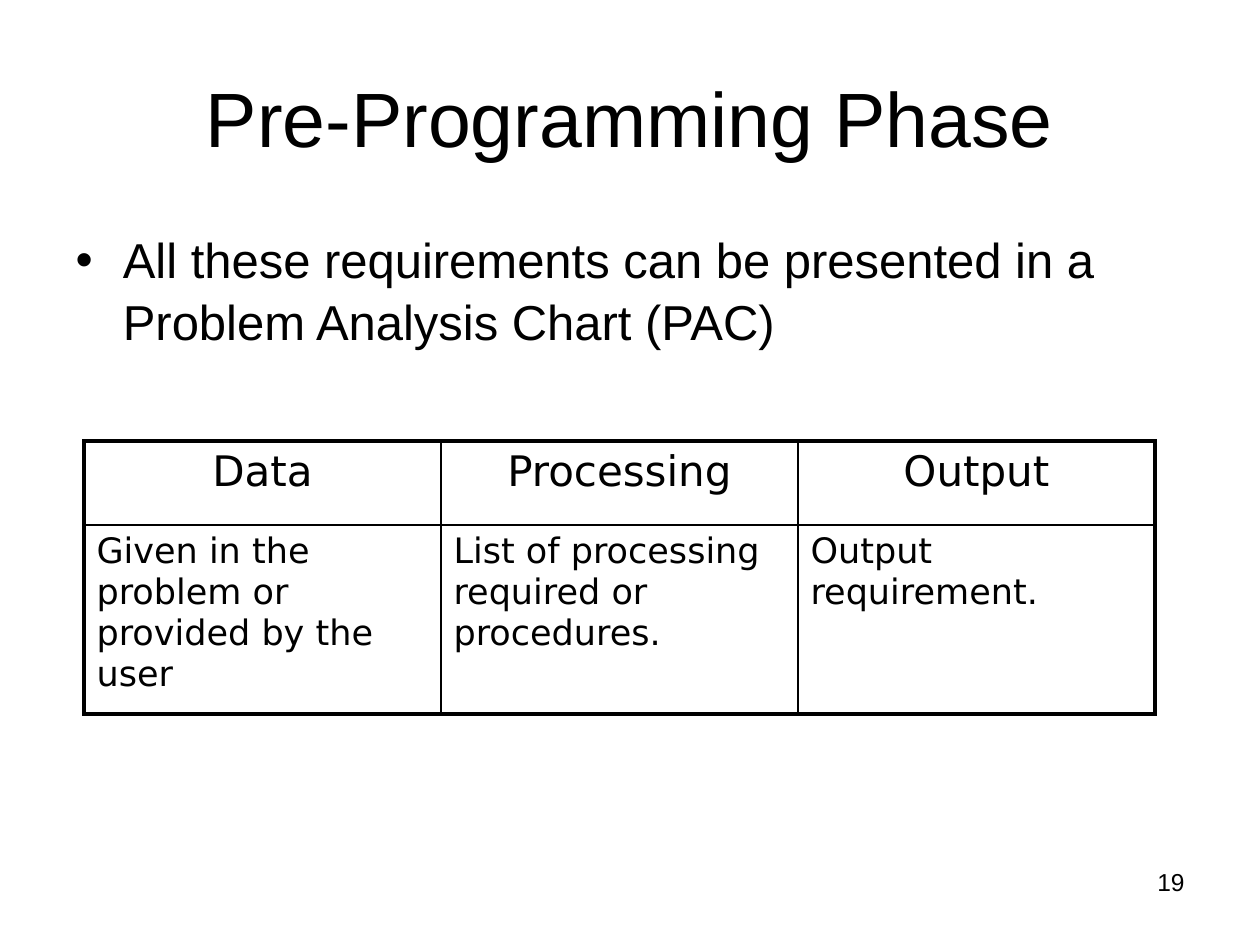
from typing import NamedTuple

from lxml import etree
from pptx import Presentation
from pptx.dml.color import RGBColor
from pptx.enum import text as t
from pptx.oxml import ns
from pptx.util import Pt

BLACK = RGBColor(0, 0, 0)
WHITE = RGBColor(255, 255, 255)
SANS = "Arial"
WIDE = "DejaVu Sans"
THICK, THIN = 2.25, 1


class Row(NamedTuple):
    height: float
    size: float
    align: t.PP_ALIGN
    cells: tuple[str, ...]


ROWS = (
    Row(48, 24, t.PP_ALIGN.CENTER, ("Data", "Processing", "Output")),
    Row(108, 20, t.PP_ALIGN.LEFT, (
        "Given in the problem or provided by the user",
        "List of processing required or procedures.",
        "Output requirement.",
    )),
)


def place(shape, left: float, top: float, width: float, height: float) -> None:
    shape.left, shape.top = Pt(left), Pt(top)
    shape.width, shape.height = Pt(width), Pt(height)


def style(frame, size: float, face: str, align: t.PP_ALIGN) -> None:
    frame.word_wrap = True
    for par in frame.paragraphs:
        par.alignment = align
        par.space_before = Pt(0)
        for run in par.runs:
            run.font.size = Pt(size)
            run.font.name = face
            run.font.color.rgb = BLACK


def add_bullet(par, indent: float) -> None:
    props = par._p.get_or_add_pPr()
    props.set("marL", str(Pt(indent)))
    props.set("indent", str(Pt(-indent)))
    etree.SubElement(props, ns.qn("a:buChar")).set("char", "•")


def add_edge(cell, side: str, width: float) -> None:
    props = cell._tc.get_or_add_tcPr()
    line = etree.SubElement(props, ns.qn(f"a:ln{side}"), w=str(Pt(width)))
    fill = etree.SubElement(line, ns.qn("a:solidFill"))
    etree.SubElement(fill, ns.qn("a:srgbClr"), val=str(BLACK))


def add_grid(slide, left: float, top: float, width: float) -> None:
    """Add the analysis chart, with a thick frame and thin inner rules."""
    count = len(ROWS[0].cells)
    height = sum(row.height for row in ROWS)
    table = slide.shapes.add_table(
        len(ROWS), count, Pt(left), Pt(top), Pt(width), Pt(height)).table
    table.first_row = table.horz_banding = False
    for col in table.columns:
        col.width = Pt(width / count)
    for r, row in enumerate(ROWS):
        table.rows[r].height = Pt(row.height)
        for c, words in enumerate(row.cells):
            cell = table.cell(r, c)
            cell.text_frame.text = words
            style(cell.text_frame, row.size, WIDE, row.align)
            outer = {"L": c == 0, "R": c == count - 1,
                     "T": r == 0, "B": r == len(ROWS) - 1}
            for side, edge in outer.items():
                add_edge(cell, side, THICK if edge else THIN)
            cell.fill.solid()
            cell.fill.fore_color.rgb = WHITE


def main() -> None:
    deck = Presentation()
    deck.slide_width, deck.slide_height = Pt(720), Pt(540)
    slide = deck.slides.add_slide(deck.slide_layouts[1])

    title, body = slide.placeholders
    place(title, 36, 21.6, 648, 90)
    title.text_frame.text = "Pre-Programming Phase"
    title.text_frame.vertical_anchor = t.MSO_ANCHOR.MIDDLE
    style(title.text_frame, 44, SANS, t.PP_ALIGN.CENTER)

    place(body, 36, 126, 648, 356.4)
    frame = body.text_frame
    frame.text = ("All these requirements can be presented in a "
                  "Problem Analysis Chart (PAC)")
    frame.auto_size = t.MSO_AUTO_SIZE.NONE
    add_bullet(frame.paragraphs[0], 27)
    style(frame, 28, SANS, t.PP_ALIGN.LEFT)
    frame.paragraphs[0].line_spacing = 1.05

    add_grid(slide, 48, 252, 612)

    number = slide.shapes.add_textbox(Pt(516), Pt(492), Pt(168), Pt(37.5))
    number.text_frame.text = "19"
    style(number.text_frame, 14, SANS, t.PP_ALIGN.RIGHT)

    deck.save("out.pptx")


if __name__ == "__main__":
    main()
